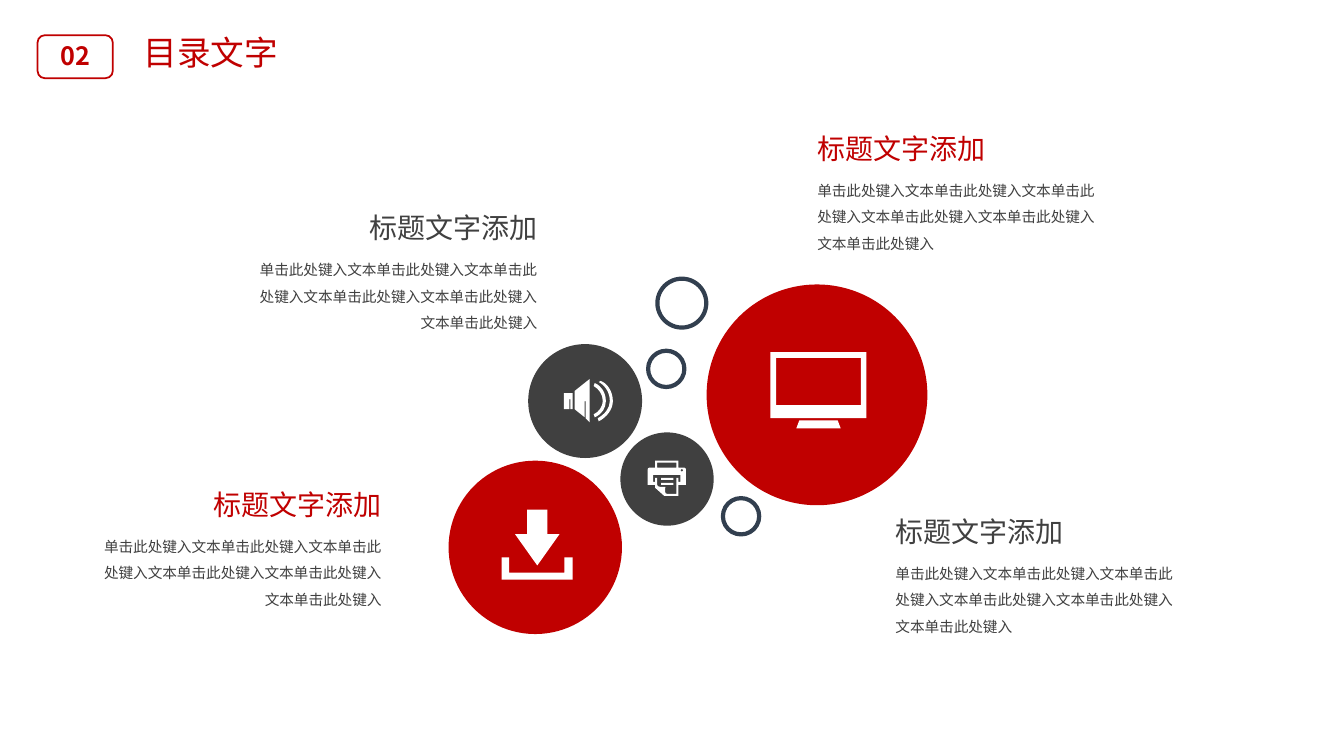
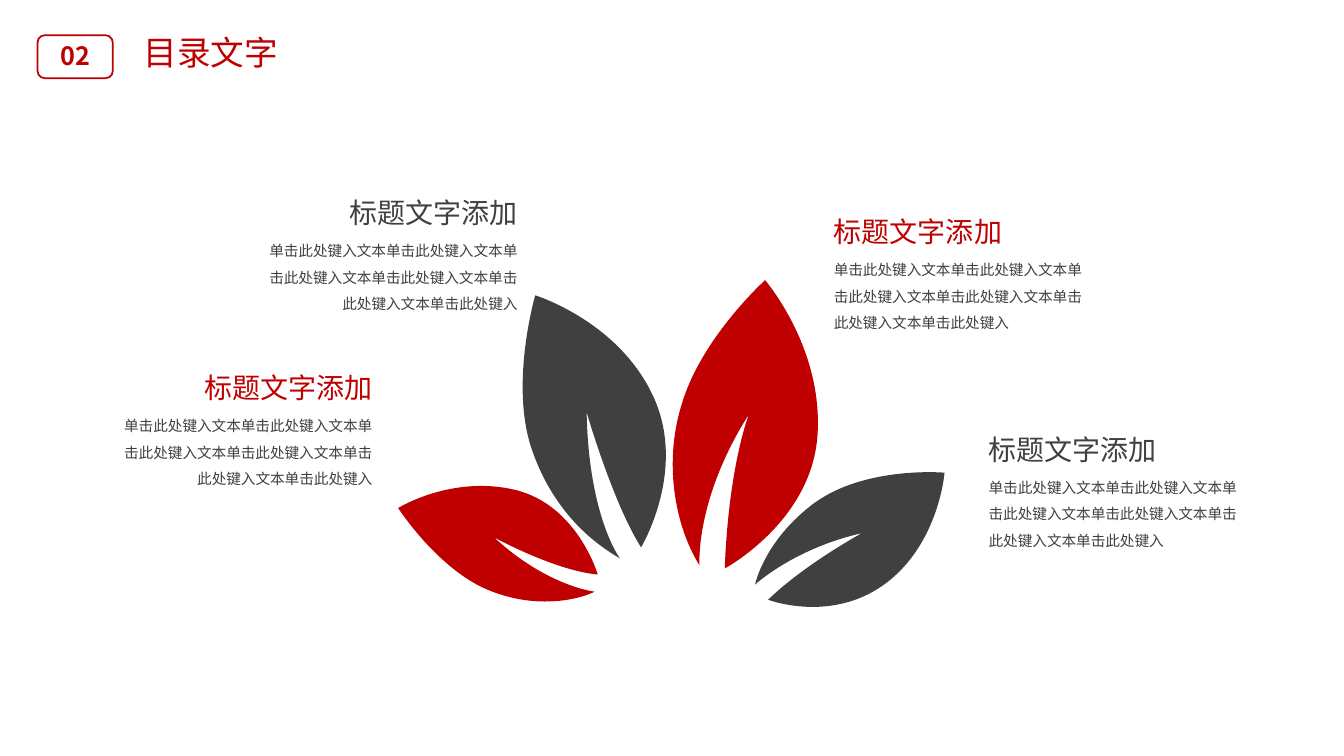
from dataclasses import dataclass
from typing import NamedTuple

import lxml.etree
import pptx
import pptx.dml.color
import pptx.enum.shapes
import pptx.enum.text
import pptx.oxml.ns
import pptx.shapes.autoshape
import pptx.slide
import pptx.util

Align = pptx.enum.text.PP_ALIGN
Preset = pptx.enum.shapes.MSO_SHAPE


@dataclass(frozen=True)
class Theme:
    red: str = "C00000"
    charcoal: str = "404040"
    navy: str = "323F4F"
    white: str = "FFFFFF"
    font: str = "Noto Sans CJK SC"
    title: float = 24
    number: float = 18
    heading: float = 20
    body: float = 10.5
    body_spacing: float = 1.5
    frame_line: float = 1.25
    ring_line: float = 3


THEME = Theme()
COLUMNS, ROWS = 133.33, 75
CELL = pptx.util.Inches(0.1)
HEADING = "标题文字添加"
BODY = "单击此处键入文本" * 5 + "单击此处键入"


class Box(NamedTuple):
    left: float
    top: float
    width: float
    height: float


class Circle(NamedTuple):
    left: float
    top: float
    size: float
    fill: str | None = None


class Contour(NamedTuple):
    start: tuple[float, float]
    segments: tuple[tuple[float, ...], ...]


class Outline(NamedTuple):
    colour: str
    contours: tuple[Contour, ...]


class CaptionLayout(NamedTuple):
    body_width: float
    heading_width: float
    body_drop: float


class Caption(NamedTuple):
    edge: float
    top: float
    colour: str
    align: Align


def contour(*points: tuple[float, ...]) -> Contour:
    return Contour(points[0], points[1:])


def rectangle(left: float, top: float, right: float, bottom: float) -> Contour:
    return contour((left, top), (right, top), (right, bottom), (left, bottom))


def icon(*contours: Contour) -> Outline:
    return Outline(THEME.white, contours)


CIRCLES = (
    Circle(44.5, 45.7, 17.2, THEME.red),
    Circle(61.55, 42.9, 9.25, THEME.charcoal),
    Circle(70.1, 28.22, 21.9, THEME.red),
    Circle(52.4, 34.14, 11.3, THEME.charcoal),
    Circle(65.22, 27.65, 4.85),
    Circle(64.3, 34.8, 3.6),
    Circle(71.72, 49.42, 3.6),
)

SPEAKER = (
    icon(contour((60.5, 39.8), (60.5, 39, 60.1, 38.3, 59.4, 37.9), (59.6, 37.8),
                 (60.2, 38, 60.8, 38.8, 60.8, 39.8), (60.8, 40.6, 60.2, 41.4, 59.4, 41.8),
                 (59.3, 41.5), (60, 41.1, 60.5, 40.5, 60.5, 39.8))),
    icon(contour((59.8, 39.8), (59.8, 39.1, 59.4, 38.6, 58.9, 38.3), (59, 38),
                 (59.7, 38.3, 60.1, 39, 60.1, 39.8), (60.1, 40.5, 59.7, 41.1, 59, 41.4),
                 (58.9, 41.1), (59.4, 40.9, 59.8, 40.3, 59.8, 39.8))),
    icon(contour((57, 38.8), (57, 40.6), (58, 41.4), (58, 39.8), (58.1, 39.8),
                 (58.1, 41.5), (58.5, 41.9), (58.5, 37.6))),
    icon(contour((55.95, 39), (55.95, 40.6), (56.5, 40.6), (56.5, 39.6), (56.6, 39.6),
                 (56.6, 40.6), (56.8, 40.6), (56.8, 39))),
)

MONITOR = icon(
    contour((79.3, 41.7), (83.1, 41.7), (83.4, 42.5), (79, 42.5)),
    rectangle(77, 35.5, 85.4, 40.2),
    rectangle(76.42, 34.95, 85.95, 41.5),
)

PRINTER = icon(
    contour((67.9, 46.4), (67.3, 46.4), (67.3, 45.7), (65, 45.7), (65, 46.4), (64.4, 46.4),
            (64.3, 46.4, 64.25, 46.5, 64.25, 46.6), (64.25, 48.1), (65, 48.1), (65, 48.4),
            (65.9, 49.2), (67.3, 49.2), (67.3, 48.1), (68.05, 48.1), (68.05, 46.6),
            (68.05, 46.5, 68, 46.4, 67.9, 46.4)),
    rectangle(65.2, 45.9, 67.1, 46.4),
    contour((67.5, 47.8), (67.3, 47.8), (67.3, 47.4), (67.1, 47.4), (67.1, 49), (66.2, 49),
            (65.9, 49, 66, 48.7, 66, 48.3), (65.5, 48.3), (65.3, 48.3, 65.2, 48.2, 65.2, 48.1),
            (65.2, 47.4), (65, 47.4), (65, 47.8), (64.8, 47.8), (64.8, 47.1), (67.5, 47.1)),
    contour((67.5, 46.65), (67.5, 46.45, 67.8, 46.45, 67.8, 46.65),
            (67.8, 46.85, 67.5, 46.85, 67.5, 46.65)),
    rectangle(65.6, 47.4, 66.8, 47.6),
    rectangle(65.6, 47.9, 66.8, 48.1),
)

DOWNLOAD = icon(
    contour((49.75, 55.3), (50.5, 55.3), (50.5, 56.8), (56, 56.8), (56, 55.3),
            (56.8, 55.3), (56.8, 57.5), (49.75, 57.5)),
    contour((52.3, 50.55), (54.3, 50.55), (54.3, 53), (55.5, 53), (53.3, 56.1),
            (51.1, 53), (52.3, 53)),
)

LEAVES = (
    Outline(THEME.charcoal, (contour(
        (76.2, 59.5), (76.2, 59.5, 84, 62.5, 89.7, 56.2), (93.3, 52.2, 93.7, 46.9, 93.7, 46.9),
        (93.7, 46.9, 85.9, 46.2, 80.8, 49.9), (75.8, 53.6, 74.9, 58, 74.9, 58),
        (74.9, 58, 78.8, 54.4, 85.5, 52.9), (85.5, 52.9, 79.8, 56, 76.2, 59.5)),)),
    Outline(THEME.red, (contour(
        (71.9, 56.4), (71.9, 56.4, 80.5, 51.8, 81.1, 43.2), (81.7, 34.5, 75.9, 27.8, 75.9, 27.8),
        (75.9, 27.8, 69.7, 33.4, 67.7, 39.9), (65.8, 45.7, 66.9, 52.1, 69.4, 56.1),
        (69.4, 56.1, 68.9, 49.6, 74.3, 41.1), (74.3, 41.1, 72.3, 46.1, 71.9, 56.4)),)),
    Outline(THEME.charcoal, (contour(
        (63.6, 54.3), (63.6, 54.3, 68.3, 46.5, 64.7, 39.1), (61.2, 31.8, 53.1, 29.3, 53.1, 29.3),
        (53.1, 29.3, 50.5, 38.2, 52.8, 44.7), (55, 51, 59.1, 54, 61.5, 55.4),
        (61.5, 55.4, 58.4, 51.3, 58.2, 40.9), (58.2, 40.9, 60.8, 49.9, 63.6, 54.3)),)),
    Outline(THEME.red, (contour(
        (59.3, 57), (59.3, 57, 57.3, 50.1, 51.1, 48.6), (44.8, 47.1, 39.5, 50.4, 39.5, 50.4),
        (39.5, 50.4, 43.1, 56, 47.9, 58.3), (52.9, 60.6, 57.4, 59.5, 59, 58.7),
        (59, 58.7, 54.3, 58.2, 49, 53.3), (49, 53.3, 55, 56.6, 59.3, 57)),)),
)

CIRCLE_CAPTIONS = (
    Caption(54.3, 20.43, THEME.charcoal, Align.RIGHT),
    Caption(38.85, 47.87, THEME.red, Align.RIGHT),
    Caption(80.1, 12.55, THEME.red, Align.LEFT),
    Caption(87.85, 50.55, THEME.charcoal, Align.LEFT),
)
LEAF_CAPTIONS = (
    Caption(37.95, 36.28, THEME.red, Align.RIGHT),
    Caption(52.35, 18.9, THEME.charcoal, Align.RIGHT),
    Caption(81.74, 20.8, THEME.red, Align.LEFT),
    Caption(97.1, 42.4, THEME.charcoal, Align.LEFT),
)


def cells(count: float) -> int:
    return round(count * CELL)


def rgb(colour: str) -> pptx.dml.color.RGBColor:
    return pptx.dml.color.RGBColor.from_string(colour)


def paint(shape: pptx.shapes.autoshape.Shape, fill: str | None,
          line: str | None = None, line_width: float = 0) -> None:
    shape.shadow.inherit = False
    if fill:
        shape.fill.solid()
        shape.fill.fore_color.rgb = rgb(fill)
    else:
        shape.fill.background()
    if line:
        shape.line.color.rgb = rgb(line)
        shape.line.width = pptx.util.Pt(line_width)
    else:
        shape.line.fill.background()


def add_preset(slide: pptx.slide.Slide, preset: Preset, box: Box, fill: str | None,
               line: str | None = None, line_width: float = 0) -> None:
    shape = slide.shapes.add_shape(preset, *map(cells, box))
    paint(shape, fill, line, line_width)


def add_text(slide: pptx.slide.Slide, text: str, box: Box, size: float, colour: str,
             align: Align, bold: bool = False, spacing: float | None = None) -> None:
    frame = slide.shapes.add_textbox(*map(cells, box)).text_frame
    frame.word_wrap = True
    frame.auto_size = pptx.enum.text.MSO_AUTO_SIZE.SHAPE_TO_FIT_TEXT
    paragraph = frame.paragraphs[0]
    run = paragraph.add_run()
    run.text = text
    run.font.color.rgb = rgb(colour)
    formats = {
        paragraph: {"alignment": align, "line_spacing": spacing},
        run.font: {"name": THEME.font, "size": pptx.util.Pt(size), "bold": bold},
    }
    for target, values in formats.items():
        for name, value in values.items():
            setattr(target, name, value)
    east_asian = lxml.etree.SubElement(run._r.get_or_add_rPr(), pptx.oxml.ns.qn("a:ea"))
    east_asian.set("typeface", THEME.font)


def vertices(segment: tuple[float, ...]) -> list[tuple[int, int]]:
    return [(cells(x), cells(y)) for x, y in zip(segment[::2], segment[1::2])]


def bend(shape: pptx.shapes.autoshape.Shape, outline: Outline) -> None:
    steps = iter(list(shape._element.iter(pptx.oxml.ns.qn("a:lnTo"))))
    for part in outline.contours:
        for segment in part.segments:
            first, *others = [next(steps) for _ in vertices(segment)]
            if others:
                curve = first.makeelement(pptx.oxml.ns.qn("a:cubicBezTo"))
                first.addprevious(curve)
                for step in (first, *others):
                    curve.append(step[0])
                    step.getparent().remove(step)


def add_outline(slide: pptx.slide.Slide, outline: Outline) -> None:
    origin = vertices(outline.contours[0].start)[0]
    builder = slide.shapes.build_freeform(*origin, scale=1.0)
    for index, part in enumerate(outline.contours):
        if index:
            builder.move_to(*vertices(part.start)[0])
        points = [point for segment in part.segments for point in vertices(segment)]
        builder.add_line_segments(points, close=True)
    shape = builder.convert_to_shape()
    bend(shape, outline)
    paint(shape, outline.colour)


def add_circle(slide: pptx.slide.Slide, circle: Circle) -> None:
    box = Box(circle.left, circle.top, circle.size, circle.size)
    ring = None if circle.fill else THEME.navy
    add_preset(slide, Preset.OVAL, box, circle.fill, ring, THEME.ring_line)


def add_caption(slide: pptx.slide.Slide, caption: Caption, layout: CaptionLayout) -> None:
    def place(width: float, top: float, height: float) -> Box:
        left = caption.edge - width if caption.align == Align.RIGHT else caption.edge
        return Box(left, top, width, height)

    add_text(slide, BODY, place(layout.body_width, caption.top + layout.body_drop, 9),
             THEME.body, THEME.charcoal, caption.align, spacing=THEME.body_spacing)
    add_text(slide, HEADING, place(layout.heading_width, caption.top, 4.4),
             THEME.heading, caption.colour, caption.align)


def add_section_slide(deck, circles: tuple[Circle, ...], outlines: tuple[Outline, ...],
                      captions: tuple[Caption, ...], layout: CaptionLayout) -> None:
    slide = deck.slides.add_slide(deck.slide_layouts[6])
    add_preset(slide, Preset.ROUNDED_RECTANGLE, Box(3.73, 3.5, 7.46, 4.26), None,
               THEME.red, THEME.frame_line)
    add_text(slide, "02", Box(4.3, 3.5, 6.3, 4), THEME.number, THEME.red, Align.CENTER, True)
    add_text(slide, "目录文字", Box(13.25, 2.7, 16.6, 5), THEME.title, THEME.red, Align.JUSTIFY)
    for circle in circles:
        add_circle(slide, circle)
    for outline in outlines:
        add_outline(slide, outline)
    for caption in captions:
        add_caption(slide, caption, layout)


def main() -> None:
    deck = pptx.Presentation()
    deck.slide_width, deck.slide_height = cells(COLUMNS), cells(ROWS)
    add_section_slide(deck, CIRCLES, (*SPEAKER, MONITOR, PRINTER, DOWNLOAD),
                      CIRCLE_CAPTIONS, CaptionLayout(29.6, 21.3, 4.1))
    add_section_slide(deck, (), LEAVES, LEAF_CAPTIONS, CaptionLayout(27, 19.4, 3.74))
    deck.save("out.pptx")


if __name__ == "__main__":
    main()
